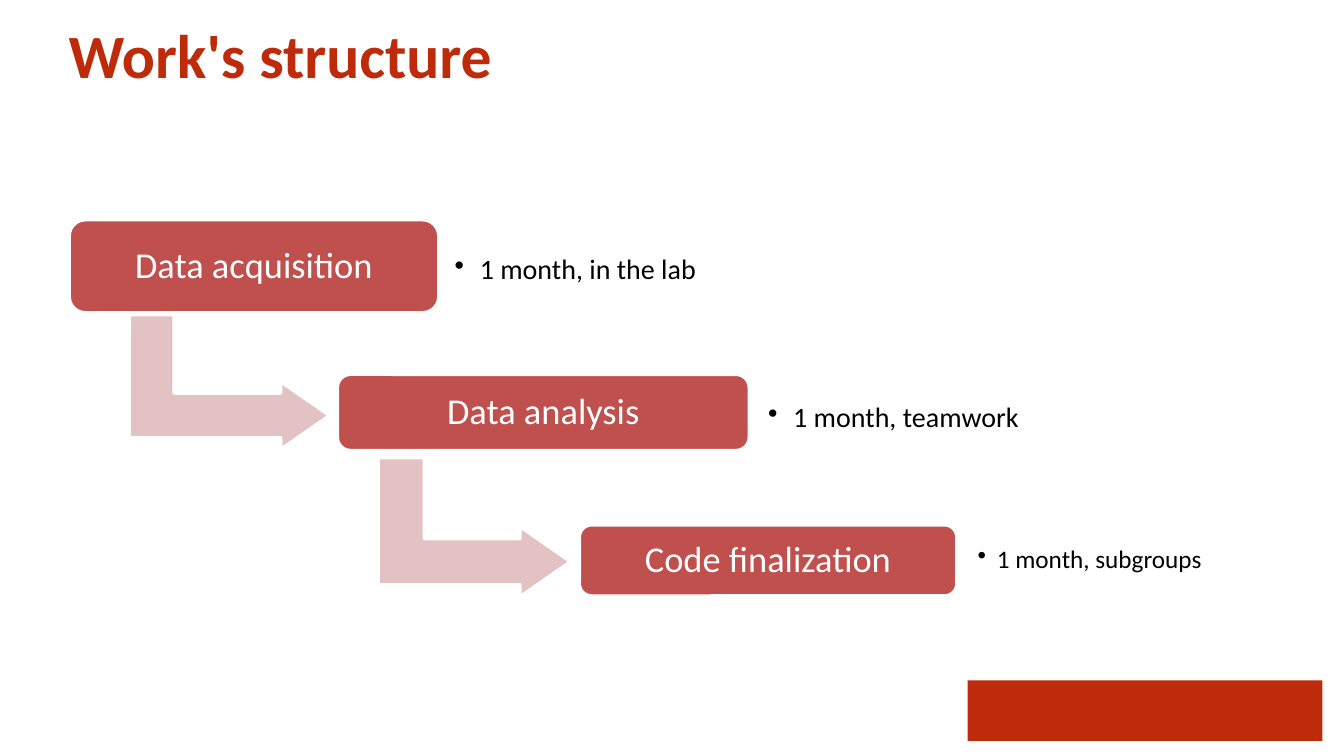
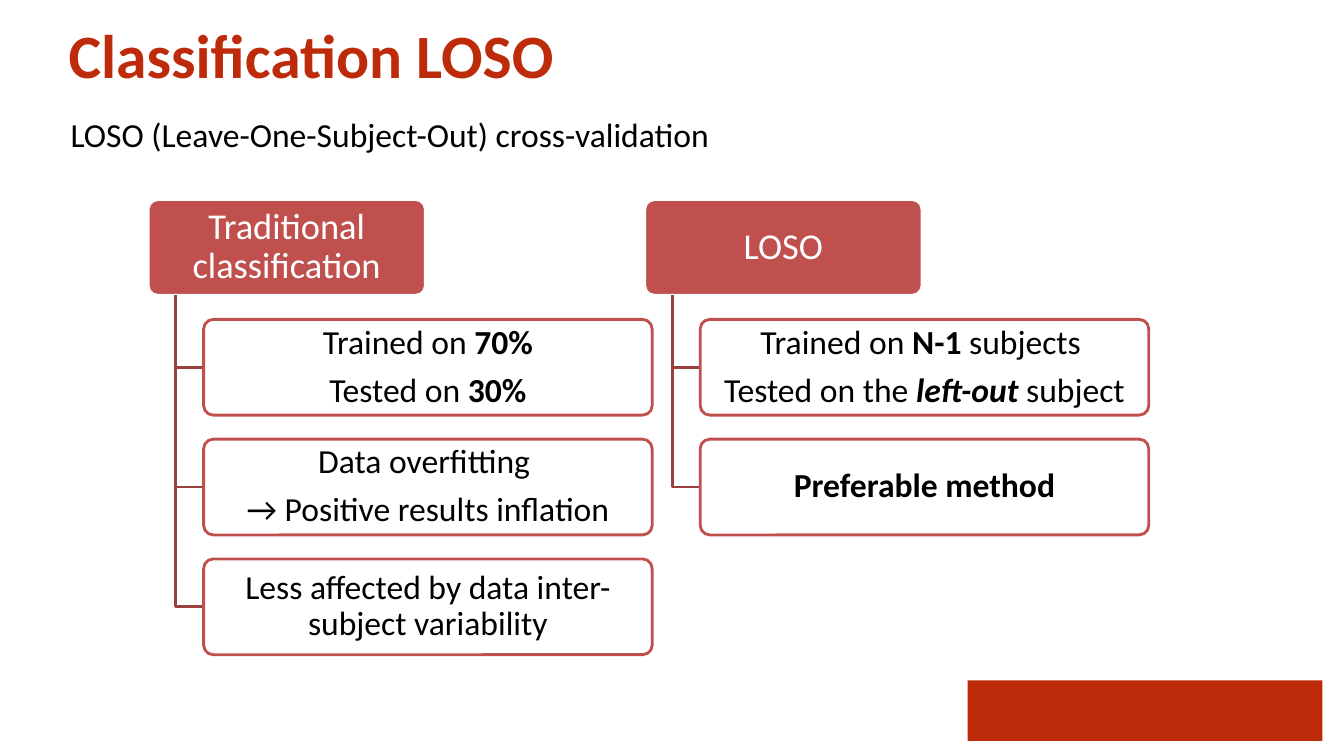
from dataclasses import dataclass
from itertools import starmap

from lxml.etree import SubElement
from pptx import Presentation
from pptx.dml.color import RGBColor
from pptx.enum.shapes import MSO_SHAPE
from pptx.enum.text import MSO_ANCHOR, MSO_AUTO_SIZE, PP_ALIGN
from pptx.oxml.ns import qn
from pptx.util import Inches, Pt

COLS, ROWS = 80, 45
WIDTH, HEIGHT = Inches(13.333), Inches(7.5)


@dataclass(frozen=True)
class Theme:
    font: str = "Calibri"
    brand: str = "BD2B0B"
    block: str = "C0504D"
    arrow: str = "E2C2C2"
    branch: str = "9A403E"
    light: str = "FFFFFF"
    dark: str = "000000"
    title: float = 44
    head: float = 26
    body: float = 24
    note: float = 20
    small: float = 18
    line: float = 2
    gap: float = 8.4
    leading: float = 0.9


THEME = Theme()


@dataclass(frozen=True)
class Box:
    """A place on the grid, in columns and rows."""
    x: float
    y: float
    w: float
    h: float

    def place(self) -> tuple:
        return col(self.x), row(self.y), col(self.w), row(self.h)


@dataclass(frozen=True)
class Run:
    text: str
    bold: bool = False
    slant: bool = False


@dataclass(frozen=True)
class Step:
    label: str
    box: Box
    note: str
    side: Box
    size: float = THEME.note
    indent: float = 1.5


@dataclass(frozen=True)
class Group:
    head: str
    cards: tuple


BAR = Box(57.6, 40.5, 21.12, 3.6)
TITLE = Box(3.48, 1.02, 73.68, 4.5)
LEAD = Box(3.6, 6.48, 71.4, 3)

STEPS = (
    Step("Data acquisition", Box(4.14, 13.1, 21.96, 5.5),
         "1 month, in the lab", Box(26.4, 14.16, 36, 3.9)),
    Step("Data analysis", Box(20.1, 22.3, 24.48, 4.5),
         "1 month, teamwork", Box(45.06, 20.58, 30, 8.64)),
    Step("Code finalization", Box(34.5, 31.26, 22.44, 4.2),
         "1 month, subgroups", Box(57.54, 31.86, 14.64, 3),
         THEME.small, 1.14),
)
ARROWS = (Box(9.66, 16.8, 7.98, 11.88), Box(24.12, 25.68, 8.22, 11.4))

GROUPS = (
    Group("Traditional classification", (
        ((Run("Trained on "), Run("70%", True)),
         (Run("Tested on "), Run("30%", True))),
        ((Run("Data overfitting "),),
         (Run("→ Positive results inflation"),)),
        ((Run("Less affected by data inter-subject variability"),),),
    )),
    Group("LOSO", (
        ((Run("Trained on "), Run("N-1 ", True), Run("subjects ")),
         (Run("Tested on the "), Run("left-out ", True, True),
          Run("subject"))),
        ((Run("Preferable method", True),),),
    )),
)
# Tree of groups: origin, pitch and sizes in grid units
TREE_X, TREE_Y = 8.82, 11.88
PITCH_X, PITCH_Y = 29.56, 7.13
HEAD_W, CARD_W, CARD_H = 16.5, 26.7, 5.7
CARD_IN = 3.3


def col(n: float) -> int:
    return round(WIDTH * n / COLS)


def row(n: float) -> int:
    return round(HEIGHT * n / ROWS)


def tint(code: str) -> RGBColor:
    return RGBColor.from_string(code)


def style(item, size: float, ink: str, bold: bool = False,
          slant: bool = False) -> None:
    font = item.font
    font.name, font.size = THEME.font, Pt(size)
    font.bold, font.italic = bold, slant
    font.color.rgb = tint(ink)


def set_frame(frame, pad: float, anchor=MSO_ANCHOR.MIDDLE) -> None:
    frame.word_wrap = True
    frame.auto_size = MSO_AUTO_SIZE.NONE
    frame.vertical_anchor = anchor
    frame.margin_left = frame.margin_right = col(pad)
    frame.margin_top = frame.margin_bottom = 0


def add_block(slide, kind, box: Box, fill: str, edge: str | None = None):
    shape = slide.shapes.add_shape(kind, *box.place())
    shape.shadow.inherit = False
    shape.fill.solid()
    shape.fill.fore_color.rgb = tint(fill)
    if edge:
        shape.line.color.rgb = tint(edge)
        shape.line.width = Pt(THEME.line)
    else:
        shape.line.fill.background()
    return shape


def add_card(slide, box: Box, paras: tuple, fill: str, edge: str,
             ink: str, size: float, curve: float) -> None:
    """Draw a rounded box with centred paragraphs of mixed runs."""
    shape = add_block(slide, MSO_SHAPE.ROUNDED_RECTANGLE, box, fill, edge)
    shape.adjustments[0] = curve
    frame = shape.text_frame
    set_frame(frame, 0.5)
    for i, runs in enumerate(paras):
        para = frame.add_paragraph() if i else frame.paragraphs[0]
        para.alignment = PP_ALIGN.CENTER
        para.line_spacing = THEME.leading
        if i:
            para.space_before = Pt(THEME.gap)
        for part in runs:
            run = para.add_run()
            run.text = part.text
            style(run, size, ink, part.bold, part.slant)


def add_head(slide, box: Box, text: str, curve: float) -> None:
    add_card(slide, box, ((Run(text),),), THEME.block, THEME.light,
             THEME.light, THEME.head, curve)


def add_text(slide, box: Box, text: str, size: float, pad: float,
             anchor=MSO_ANCHOR.MIDDLE):
    frame = slide.shapes.add_textbox(*box.place()).text_frame
    set_frame(frame, pad, anchor)
    frame.text = text
    para = frame.paragraphs[0]
    style(para.runs[0], size, THEME.dark)
    return para


def add_note(slide, step: Step) -> None:
    para = add_text(slide, step.side, step.note, step.size, 0.66)
    para.line_spacing = THEME.leading
    props = para._p.get_or_add_pPr()
    props.set("marL", str(col(step.indent)))
    props.set("indent", str(-col(step.indent)))
    SubElement(props, qn("a:buChar")).set("char", "•")


def add_arrow(slide, box: Box) -> None:
    shape = add_block(slide, MSO_SHAPE.BENT_UP_ARROW, box, THEME.arrow,
                      THEME.light)
    shape.rotation = 90
    for i, share in enumerate((0.33, 0.25, 0.36)):
        shape.adjustments[i] = share


def add_branch(slide, x: float, top: float, end_x: float,
               end_y: float) -> None:
    """Draw an open line down from a head and across to a card."""
    pen = slide.shapes.build_freeform(col(x), row(top))
    pen.add_line_segments(((col(x), row(end_y)), (col(end_x), row(end_y))),
                          close=False)
    shape = pen.convert_to_shape()
    shape.shadow.inherit = False
    shape.fill.background()
    shape.line.color.rgb = tint(THEME.branch)
    shape.line.width = Pt(THEME.line)


def add_group(slide, x: float, group: Group) -> None:
    add_head(slide, Box(x, TREE_Y, HEAD_W, CARD_H), group.head, 0.1)
    left = x + CARD_IN
    for i, paras in enumerate(group.cards, 1):
        top = TREE_Y + i * PITCH_Y
        add_branch(slide, x + CARD_IN / 2, TREE_Y + CARD_H, left,
                   top + CARD_H / 2)
        add_card(slide, Box(left, top, CARD_W, CARD_H), paras, THEME.light,
                 THEME.block, THEME.dark, THEME.body, 0.1)


def add_slide(deck, text: str):
    """Add a slide with the shared title style and footer bar."""
    slide = deck.slides.add_slide(deck.slide_layouts[5])
    title = slide.shapes.title
    title.left, title.top, title.width, title.height = TITLE.place()
    set_frame(title.text_frame, 0.6, MSO_ANCHOR.TOP)
    title.text_frame.text = text
    para = title.text_frame.paragraphs[0]
    para.alignment = PP_ALIGN.LEFT
    style(para.runs[0], THEME.title, THEME.brand, True)
    add_block(slide, MSO_SHAPE.RECTANGLE, BAR, THEME.brand)
    return slide


def draw_steps(deck) -> None:
    slide = add_slide(deck, "Work's structure")
    for box in ARROWS:
        add_arrow(slide, box)
    for step in STEPS:
        add_head(slide, step.box, step.label, 0.17)
        add_note(slide, step)


def draw_groups(deck) -> None:
    slide = add_slide(deck, "Classification LOSO")
    add_text(slide, LEAD, "LOSO (Leave-One-Subject-Out) cross-validation",
             THEME.body, 0.6)
    spots = ((slide, TREE_X + i * PITCH_X, group)
             for i, group in enumerate(GROUPS))
    list(starmap(add_group, spots))


def main() -> None:
    deck = Presentation()
    deck.slide_width, deck.slide_height = WIDTH, HEIGHT
    draw_steps(deck)
    draw_groups(deck)
    deck.save("out.pptx")


if __name__ == "__main__":
    main()
